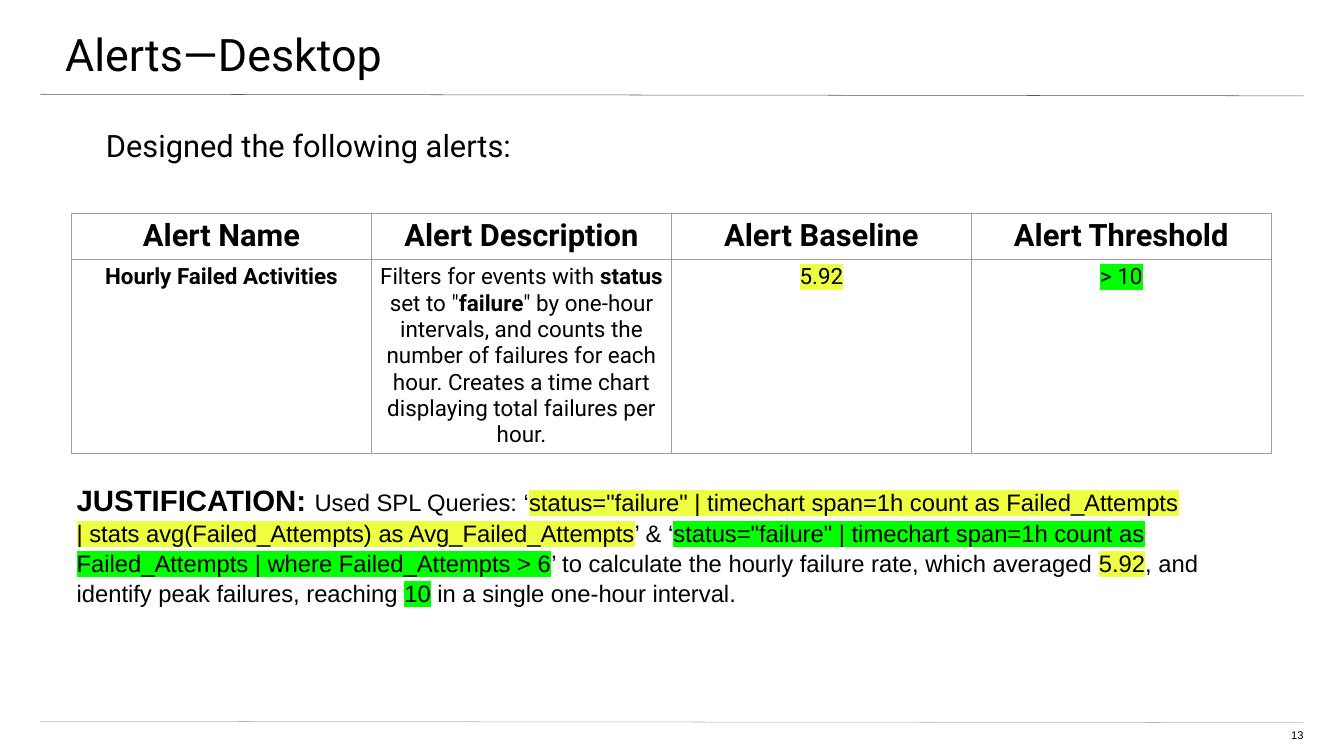
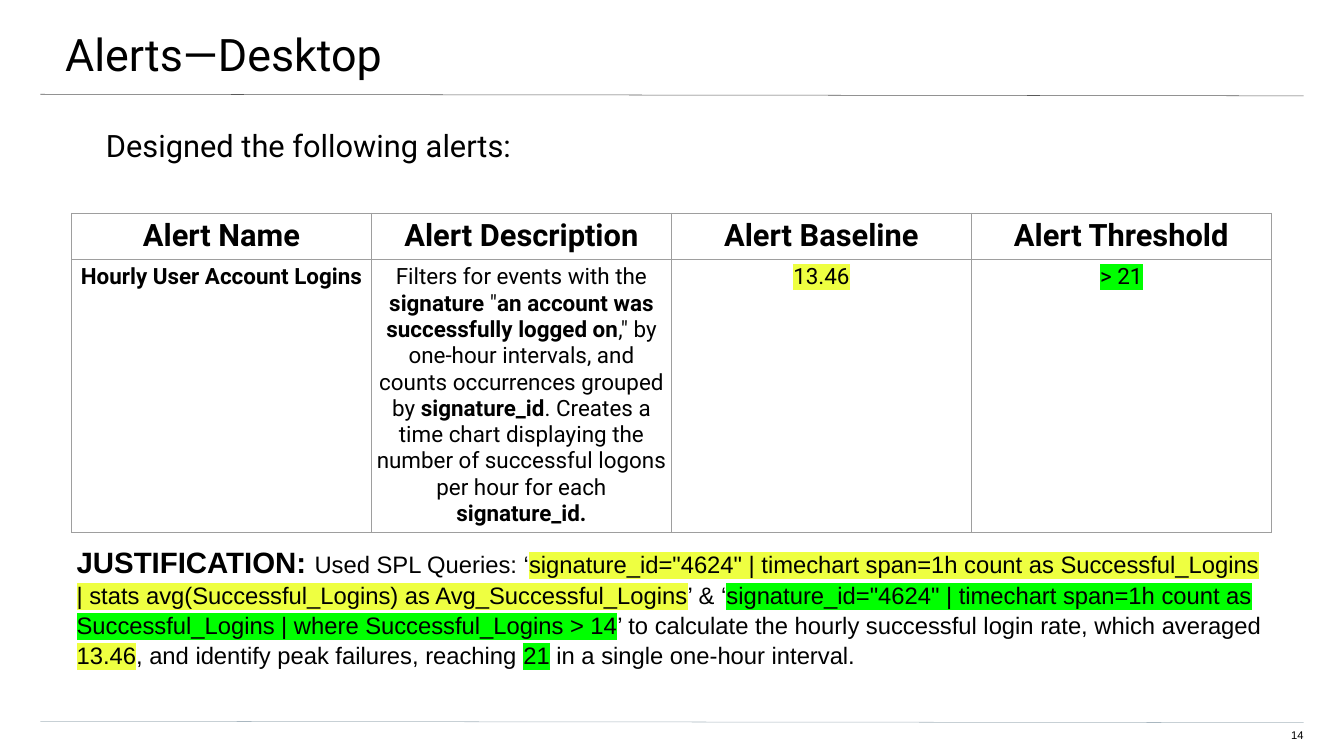
from dataclasses import dataclass

from lxml.etree import SubElement
from pptx import Presentation
from pptx.dml.color import RGBColor
from pptx.enum.shapes import MSO_CONNECTOR
from pptx.enum.text import MSO_ANCHOR, MSO_AUTO_SIZE, PP_ALIGN
from pptx.oxml import parse_xml
from pptx.oxml.ns import nsdecls, qn
from pptx.util import Cm, Pt


@dataclass(frozen=True)
class Theme:
    heading_font: str = "Roboto"
    text_font: str = "Arial"
    text: str = "000000"
    title_rule: str = "595959"
    footer_rule: str = "A9B7C0"
    grid: str = "9E9E9E"
    baseline: str = "EEFF41"
    threshold: str = "00FF00"
    title_size: int = 64
    intro_size: int = 44
    cell_size: int = 32
    label_size: int = 42
    justification_size: int = 34
    number_size: int = 16
    rule_width: float = 0.75


@dataclass(frozen=True)
class Alert:
    number: int
    name: str
    description: list  # (text, bold) pairs
    event_filter: str
    counter: str
    limit: int
    rate: str
    baseline: str
    peak: int
    justification_box: tuple


THEME = Theme()
HEADERS = ["Alert Name", "Alert Description", "Alert Baseline", "Alert Threshold"]
TITLE_BOX = (-0.1, 0, 67.89, 3.96)
INTRO_BOX = (1.96, 6.38, 63.73, 27.41)
NUMBER_BOX = (63.75, 36.73, 1.93, 0.79)
TABLE_BOX = (3.61, 10.74, 60.45, 3.43)
HEADER_HEIGHT = 1.07
INSET = 0.25

ALERTS = [
    Alert(
        13,
        "Hourly Failed Activities",
        [
            ("Filters for events with ", False),
            ("status", True),
            (' set to "', False),
            ("failure", True),
            ('" by one-hour intervals, and counts the number of failures for each hour. '
             "Creates a time chart displaying total failures per hour.", False),
        ],
        'status="failure"', "Failed_Attempts", 6, "failure rate", "5.92", 10,
        (3.61, 23.95, 60.43, 8.46),
    ),
    Alert(
        14,
        "Hourly User Account Logins",
        [
            ("Filters for events with the ", False),
            ("signature ", True),
            ('"', False),
            ("an account was successfully logged on", True),
            ('," by one-hour intervals, and counts occurrences grouped by ', False),
            ("signature_id", True),
            (". Creates a time chart displaying the number of successful logons "
             "per hour for each ", False),
            ("signature_id.", True),
        ],
        'signature_id="4624"', "Successful_Logins", 14, "successful login rate", "13.46", 21,
        (3.61, 27.1, 60.43, 8.13),
    ),
]


def format_run(r, font, size, bold=False, highlight=None):
    r.font.size = Pt(size)
    r.font.bold = bold
    r.font.color.rgb = RGBColor.from_string(THEME.text)
    if highlight:
        mark = parse_xml(f'<a:highlight {nsdecls("a")}><a:srgbClr val="{highlight}"/></a:highlight>')
        r.font._element.find(qn("a:solidFill")).addnext(mark)
    r.font.name = font


def add_run(p, text, *style):
    r = p.add_run()
    r.text = text
    format_run(r, *style)


def set_frame(tf, left, top, right, bottom):
    tf.word_wrap = True
    tf.auto_size = MSO_AUTO_SIZE.NONE
    tf.vertical_anchor = MSO_ANCHOR.TOP
    tf.margin_left, tf.margin_top = Cm(left), Cm(top)
    tf.margin_right, tf.margin_bottom = Cm(right), Cm(bottom)


def add_text_frame(s, box, *margins):
    tf = s.shapes.add_textbox(*map(Cm, box)).text_frame
    set_frame(tf, *margins)
    return tf


def add_rule(s, top, bottom, color):
    line = s.shapes.add_connector(MSO_CONNECTOR.STRAIGHT, Cm(2.03), Cm(top), Cm(65.68), Cm(bottom))
    line.line.color.rgb = RGBColor.from_string(color)
    line.line.width = Pt(THEME.rule_width)
    SubElement(line._element.spPr, qn("a:effectLst"))


def add_title(s, box, text):
    title = s.shapes.title
    title.left, title.top, title.width, title.height = map(Cm, box)
    tf = title.text_frame
    tf.text = text
    set_frame(tf, 3.38, 1.35, 2.03, 0.69)
    p = tf.paragraphs[0]
    p.alignment = PP_ALIGN.LEFT
    format_run(p.runs[0], THEME.heading_font, THEME.title_size)


def add_intro(s, box, text):
    tf = add_text_frame(s, box, 3.38, 0, 3.38, 6.78)
    tf.text = text
    format_run(tf.paragraphs[0].runs[0], THEME.heading_font, THEME.intro_size)


def add_number(s, box, number):
    tf = add_text_frame(s, box, 0, 0, 0, 0.69)
    tf.text = str(number)
    p = tf.paragraphs[0]
    p.alignment = PP_ALIGN.RIGHT
    format_run(p.runs[0], THEME.text_font, THEME.number_size)


def set_borders(cell):
    tc_pr = cell._tc.get_or_add_tcPr()
    for position, side in enumerate(("lnL", "lnR", "lnT", "lnB")):
        tc_pr.insert(position, parse_xml(
            f'<a:{side} {nsdecls("a")} w="{Pt(THEME.rule_width)}"><a:solidFill>'
            f'<a:srgbClr val="{THEME.grid}"/></a:solidFill></a:{side}>'))


def fill_cell(cell, size, runs):
    """Write (text, bold, highlight) runs, centred, into a bordered cell."""
    cell.fill.background()
    set_borders(cell)
    cell.margin_left = cell.margin_right = Cm(INSET)
    cell.margin_top = cell.margin_bottom = Cm(INSET)
    cell.vertical_anchor = MSO_ANCHOR.TOP
    p = cell.text_frame.paragraphs[0]
    p.alignment = PP_ALIGN.CENTER
    for text, bold, highlight in runs:
        add_run(p, text, THEME.heading_font, size, bold, highlight)


def add_alert_table(s, box, alert):
    table = s.shapes.add_table(2, len(HEADERS), *map(Cm, box)).table
    table.first_row = table.horz_banding = False
    for column in table.columns:
        column.width = Cm(box[2] / len(HEADERS))
    table.rows[0].height = Cm(HEADER_HEIGHT)
    table.rows[1].height = Cm(box[3] - HEADER_HEIGHT)
    values = [
        [(alert.name, True, None)],
        [(text, bold, None) for text, bold in alert.description],
        [(alert.baseline, False, THEME.baseline)],
        [(f"> {alert.peak}", False, THEME.threshold)],
    ]
    for col, (header, runs) in enumerate(zip(HEADERS, values)):
        fill_cell(table.cell(0, col), THEME.intro_size, [(header, True, None)])
        fill_cell(table.cell(1, col), THEME.cell_size, runs)


def add_justification(s, box, alert):
    tf = add_text_frame(s, box, INSET, INSET, INSET, INSET)
    tf.auto_size = MSO_AUTO_SIZE.SHAPE_TO_FIT_TEXT
    count = f"{alert.event_filter} | timechart span=1h count as {alert.counter}"
    average = f"| stats avg({alert.counter}) as Avg_{alert.counter}"
    paragraphs = [
        [("Used SPL Queries: ‘", None), (count, THEME.baseline)],
        [
            (average, THEME.baseline),
            ("’ & ‘", None),
            (f"{count} | where {alert.counter} > {alert.limit}", THEME.threshold),
            (f"’ to calculate the hourly {alert.rate}, which averaged ", None),
            (alert.baseline, THEME.baseline),
            (", and identify peak failures, reaching ", None),
            (str(alert.peak), THEME.threshold),
            (" in a single one-hour interval.", None),
        ],
    ]
    add_run(tf.paragraphs[0], "JUSTIFICATION: ", THEME.text_font, THEME.label_size, True)
    tf.add_paragraph()
    for p, runs in zip(tf.paragraphs, paragraphs):
        p.line_spacing = 1.05
        for text, highlight in runs:
            add_run(p, text, THEME.text_font, THEME.justification_size, False, highlight)


def add_alert_slide(prs, alert):
    s = prs.slides.add_slide(prs.slide_layouts[5])
    add_rule(s, 4.75, 4.83, THEME.title_rule)
    add_rule(s, 36.35, 36.42, THEME.footer_rule)
    add_title(s, TITLE_BOX, "Alerts—Desktop")
    add_intro(s, INTRO_BOX, "Designed the following alerts:")
    add_number(s, NUMBER_BOX, alert.number)
    add_alert_table(s, TABLE_BOX, alert)
    add_justification(s, alert.justification_box, alert)


def main():
    prs = Presentation()
    prs.slide_width, prs.slide_height = Cm(67.72), Cm(38.1)
    for alert in ALERTS:
        add_alert_slide(prs, alert)
    prs.save("out.pptx")


if __name__ == "__main__":
    main()
